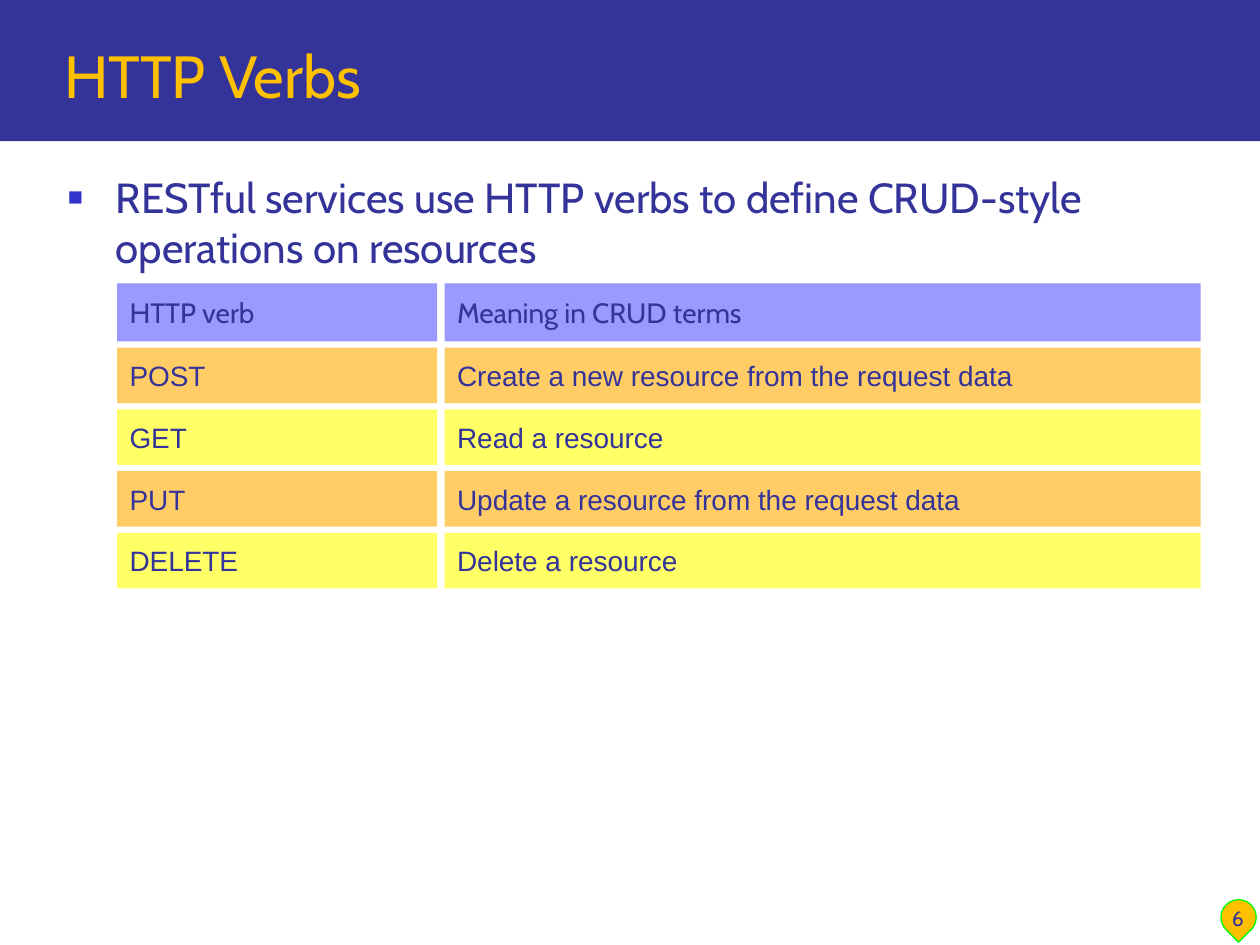
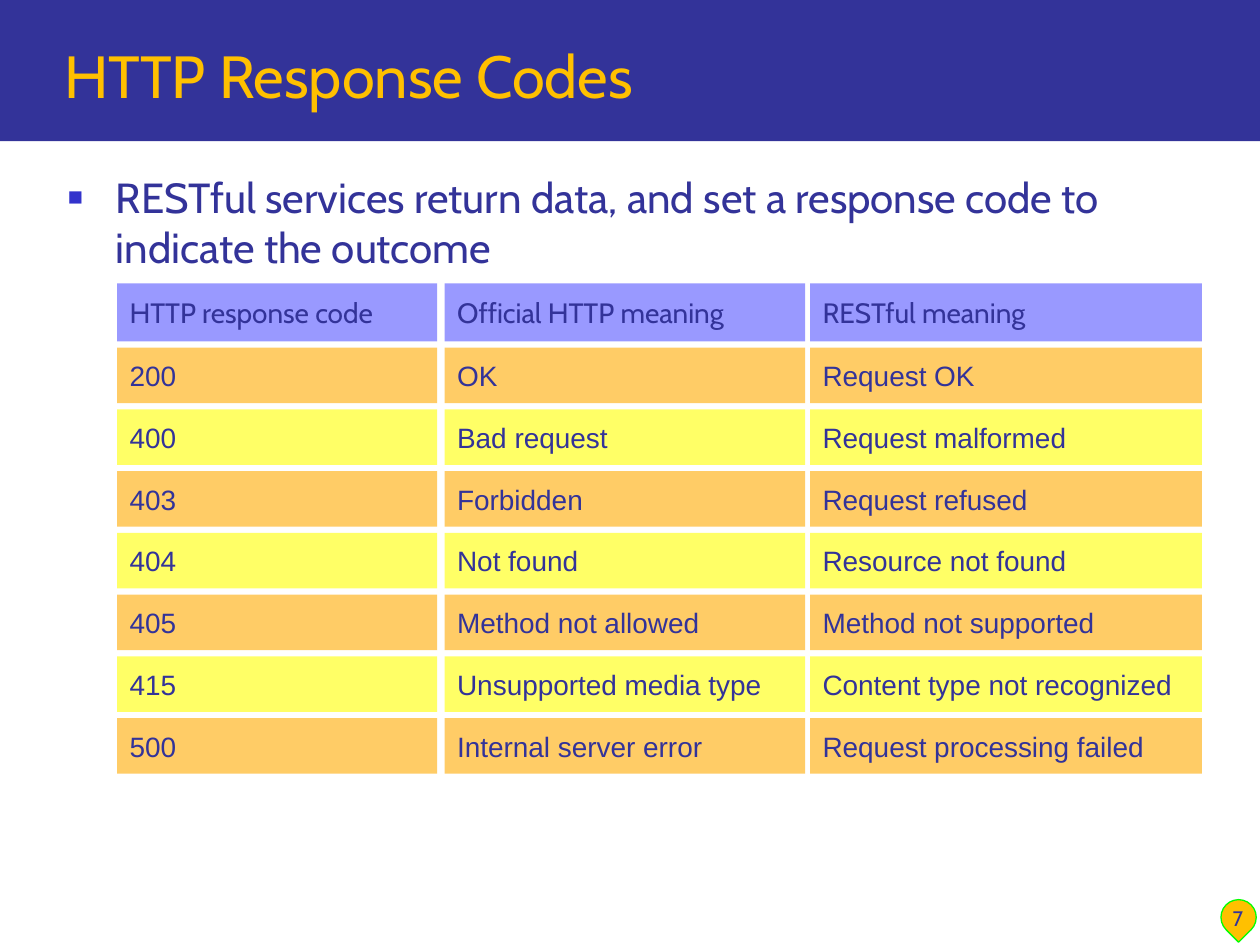
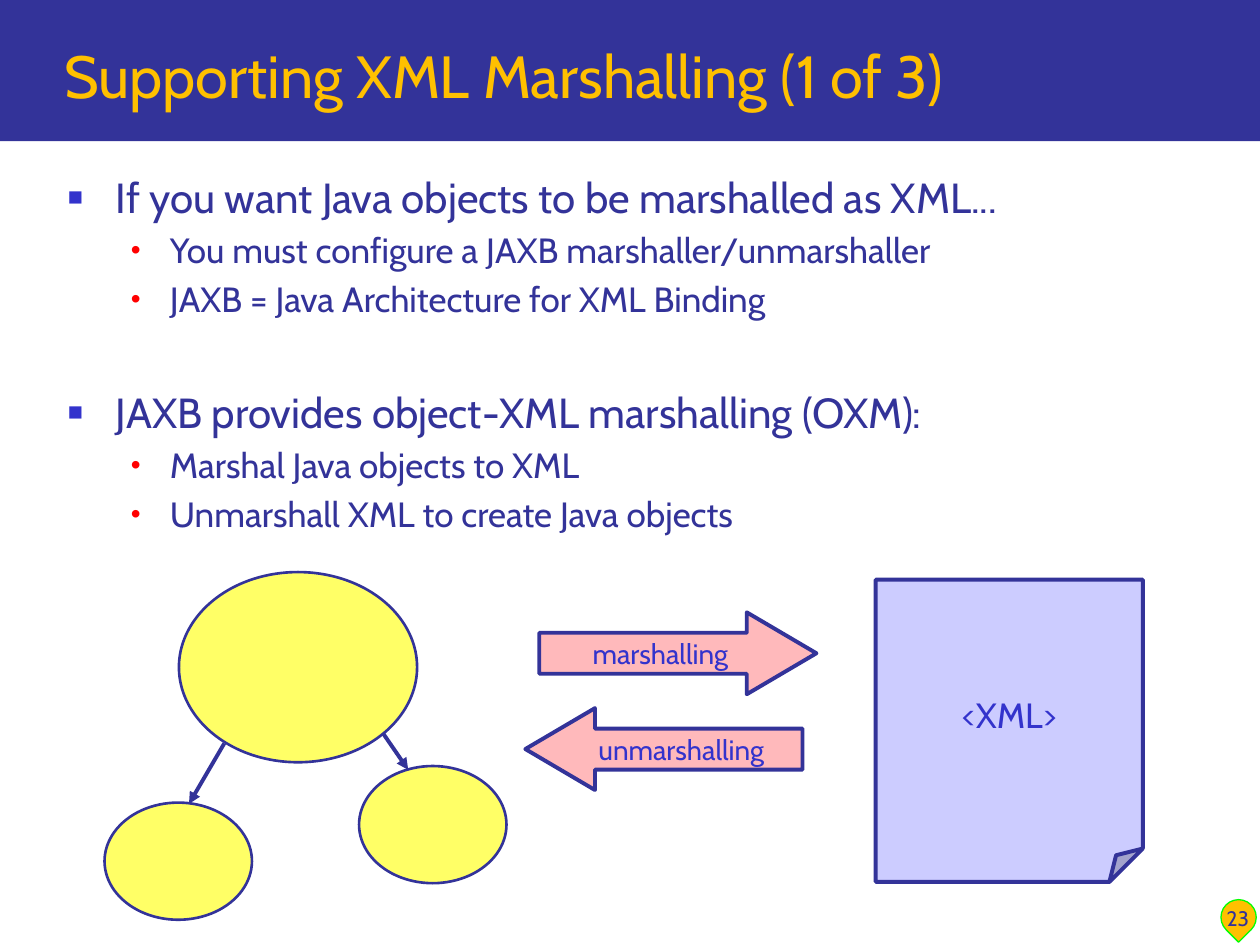
from lxml.etree import SubElement
from pptx import Presentation
from pptx.dml.color import RGBColor
from pptx.enum.shapes import MSO_CONNECTOR as Connector, MSO_SHAPE as Preset
from pptx.enum.text import MSO_ANCHOR as Anchor, MSO_AUTO_SIZE as AutoSize, PP_ALIGN as Align
from pptx.oxml.ns import qn
from pptx.util import Inches, Pt

NAVY = RGBColor(0x33, 0x33, 0x99)
BLUE = RGBColor(0x33, 0x33, 0xCC)
GOLD = RGBColor(0xFF, 0xC0, 0x00)
GREEN = RGBColor(0x00, 0xFF, 0x00)
RED = RGBColor(0xFF, 0x00, 0x00)
PERIWINKLE = RGBColor(0x99, 0x99, 0xFF)
LAVENDER = RGBColor(0xCC, 0xCC, 0xFF)
ORANGE = RGBColor(0xFF, 0xCC, 0x66)
YELLOW = RGBColor(0xFF, 0xFF, 0x66)
PINK = RGBColor(0xFF, 0xB9, 0xBB)

HEADING_FONT = "Cabin"
CELL_FONT = "Arial"

SLIDES = [
    {
        "title": "HTTP Verbs",
        "number": "6",
        "bullets": [(0, "RESTful services use HTTP verbs to define CRUD-style operations on resources")],
        "columns": [(0.93, 2.54), (3.53, 6)],
        "rows": [
            ("HTTP verb", "Meaning in CRUD terms"),
            ("POST", "Create a new resource from the request data"),
            ("GET", "Read a resource"),
            ("PUT", "Update a resource from the request data"),
            ("DELETE", "Delete a resource"),
        ],
    },
    {
        "title": "HTTP Response Codes",
        "number": "7",
        "bullets": [(0, "RESTful services return data, and set a response code to indicate the outcome")],
        "columns": [(0.93, 2.54), (3.53, 2.86), (6.43, 3.11)],
        "rows": [
            ("HTTP response code", "Official HTTP meaning", "RESTful meaning"),
            ("200", "OK", "Request OK"),
            ("400", "Bad request", "Request malformed"),
            ("403", "Forbidden", "Request refused"),
            ("404", "Not found", "Resource not found"),
            ("405", "Method not allowed", "Method not supported"),
            ("415", "Unsupported media type", "Content type not recognized"),
            ("500", "Internal server error", "Request processing failed"),
        ],
    },
    {
        "title": "Supporting XML Marshalling (1 of 3)",
        "number": "23",
        "bullets": [
            (0, "If you want Java objects to be marshalled as XML..."),
            (1, "You must configure a JAXB marshaller/unmarshaller"),
            (1, "JAXB = Java Architecture for XML Binding"),
            (0, "JAXB provides object-XML marshalling (OXM):"),
            (1, "Marshal Java objects to XML"),
            (1, "Unmarshall XML to create Java objects"),
        ],
        "diagram": True,
    },
]

BULLET_LEVELS = [
    {"size": 24, "margin": 0.38, "hanging": 0.38, "before": 38, "mark": "■", "color": BLUE, "percent": 60},
    {"size": 20, "margin": 0.81, "hanging": 0.31, "before": 4, "mark": "•", "color": RED, "percent": 80},
]

HEADER_TOP, HEADER_HEIGHT = 2.25, 0.46
FIRST_ROW_TOP, ROW_PITCH, ROW_HEIGHT = 2.76, 0.49, 0.44

OBJECTS = [(1.42, 4.54, 1.89, 1.51), (2.85, 6.08, 1.17, 0.93), (0.83, 6.37, 1.17, 0.93)]
REFERENCES = [((1.78, 5.9), (1.5, 6.38)), ((3.04, 5.82), (3.24, 6.11))]
ARROWS = [("marshalling", (4.28, 4.86, 2.2, 0.65), False), ("unmarshalling", (4.17, 5.62, 2.2, 0.65), True)]
DOCUMENT = ("<XML>", (6.95, 4.6, 2.12, 2.4))


def apply_format(target, values):
    for name, value in values.items():
        setattr(target, name, value)


def format_font(font, size, color, name=HEADING_FONT):
    apply_format(font, {"size": Pt(size), "name": name})
    font.color.rgb = color


def write_text(shape, text, size, color, font=HEADING_FONT, align=Align.LEFT, anchor=Anchor.MIDDLE, wrap=True):
    frame = shape.text_frame
    apply_format(frame, {"text": text, "word_wrap": wrap, "auto_size": AutoSize.NONE, "vertical_anchor": anchor})
    paragraph = frame.paragraphs[0]
    paragraph.alignment = align
    format_font(paragraph.runs[0].font, size, color, font)


def add_preset(slide, preset, box, fill, line=None, width=0.75):
    shape = slide.shapes.add_shape(preset, *map(Inches, box))
    shape.shadow.inherit = False
    shape.fill.solid()
    shape.fill.fore_color.rgb = fill
    if line is None:
        shape.line.fill.background()
    else:
        shape.line.color.rgb = line
        shape.line.width = Pt(width)
    return shape


def decorate_layout(layout, slide):
    band = add_preset(slide, Preset.RECTANGLE, (0, 0, 10, 1.12), NAVY)
    badge = add_preset(slide, Preset.TEAR, (9.69, 7.14, 0.28, 0.28), GOLD, GREEN)
    badge.rotation = 135
    for position, shape in enumerate((band, badge), start=2):
        layout.shapes._spTree.insert(position, shape._element)


def add_title(slide, text):
    title = slide.shapes.title
    apply_format(title, {"left": Inches(0.41), "top": Inches(0.17), "width": Inches(9.35), "height": Inches(0.76)})
    write_text(title, text, 34, GOLD, anchor=Anchor.BOTTOM)


def add_number(slide, number):
    box = slide.shapes.add_textbox(*map(Inches, (9.54, 6.94, 0.57, 0.5)))
    write_text(box, number, 12, NAVY, align=Align.CENTER, anchor=Anchor.BOTTOM)


def set_bullet(paragraph, style):
    properties = paragraph._p.get_or_add_pPr()
    properties.set("marL", str(Inches(style["margin"])))
    properties.set("indent", str(-Inches(style["hanging"])))
    color = SubElement(properties, qn("a:buClr"))
    SubElement(color, qn("a:srgbClr"), val=str(style["color"]))
    SubElement(properties, qn("a:buSzPct"), val=str(style["percent"] * 1000))
    SubElement(properties, qn("a:buFont"), typeface="Arial")
    SubElement(properties, qn("a:buChar"), char=style["mark"])


def add_bullets(slide, bullets):
    frame = slide.shapes.add_textbox(*map(Inches, (0.44, 1.31, 9.28, 5.4))).text_frame
    frame.word_wrap = True
    for index, (level, text) in enumerate(bullets):
        style = BULLET_LEVELS[level]
        paragraph = frame.add_paragraph() if index else frame.paragraphs[0]
        apply_format(paragraph, {"level": level, "space_before": Pt(style["before"] if index else 0)})
        set_bullet(paragraph, style)
        run = paragraph.add_run()
        run.text = text
        format_font(run.font, style["size"], NAVY)


def add_grid(slide, columns, rows):
    for index, row in enumerate(rows):
        if index == 0:
            top, height, fill, font = HEADER_TOP, HEADER_HEIGHT, PERIWINKLE, HEADING_FONT
        else:
            top, height, font = FIRST_ROW_TOP + (index - 1) * ROW_PITCH, ROW_HEIGHT, CELL_FONT
            fill = ORANGE if index % 2 else YELLOW
        for (left, width), text in zip(columns, row):
            cell = add_preset(slide, Preset.RECTANGLE, (left, top, width, height), fill)
            write_text(cell, text, 16, NAVY, font)


def add_reference(slide, start, end):
    connector = slide.shapes.add_connector(Connector.STRAIGHT, *map(Inches, start + end))
    connector.line.color.rgb = NAVY
    connector.line.width = Pt(2.25)
    properties = connector._element.spPr
    SubElement(properties.find(qn("a:ln")), qn("a:tailEnd"), type="triangle")
    SubElement(properties, qn("a:effectLst"))


def add_diagram(slide):
    for box in OBJECTS:
        add_preset(slide, Preset.OVAL, box, YELLOW, NAVY, 1.5)
    for start, end in REFERENCES:
        add_reference(slide, start, end)
    for text, box, flipped in ARROWS:
        arrow = add_preset(slide, Preset.RIGHT_ARROW, box, PINK, NAVY, 2.25)
        arrow.adjustments[1] = 0.85
        if flipped:
            arrow._element.spPr.find(qn("a:xfrm")).set("flipH", "1")
        write_text(arrow, text, 16, BLUE, align=Align.CENTER, wrap=False)
    text, box = DOCUMENT
    document = add_preset(slide, Preset.FOLDED_CORNER, box, LAVENDER, NAVY, 2.25)
    geometry = document._element.spPr.find(qn("a:prstGeom"))
    SubElement(geometry.find(qn("a:avLst")), qn("a:gd"), name="adj", fmla="val 12500")
    write_text(document, text, 20, BLUE, align=Align.CENTER, wrap=False)


def main():
    presentation = Presentation()
    apply_format(presentation, {"slide_width": Inches(10), "slide_height": Inches(7.5)})
    layout = presentation.slide_layouts[5]
    for index, content in enumerate(SLIDES):
        slide = presentation.slides.add_slide(layout)
        if index == 0:
            decorate_layout(layout, slide)
        add_title(slide, content["title"])
        add_bullets(slide, content["bullets"])
        add_number(slide, content["number"])
        if "rows" in content:
            add_grid(slide, content["columns"], content["rows"])
        if "diagram" in content:
            add_diagram(slide)
    presentation.save("out.pptx")


if __name__ == "__main__":
    main()
